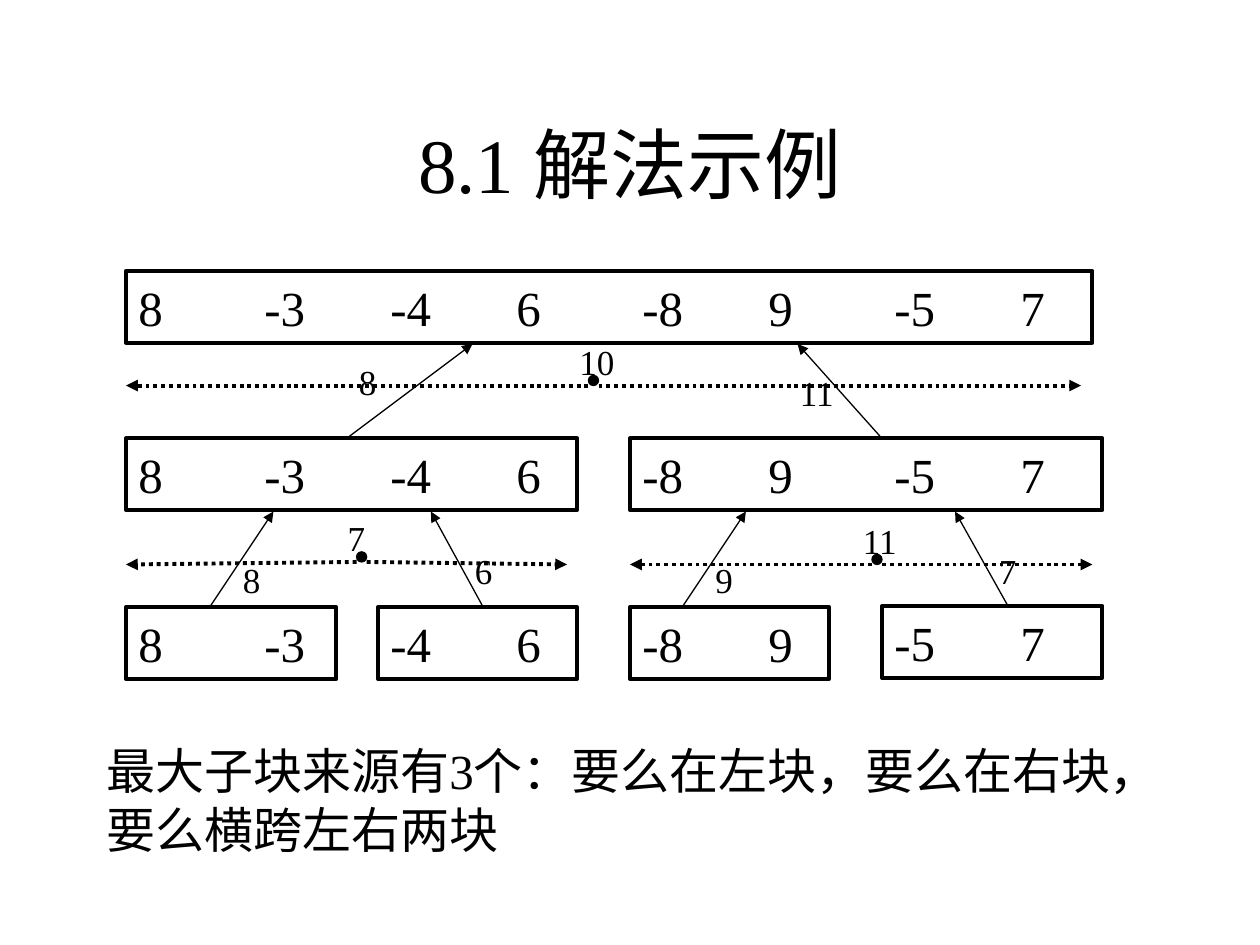
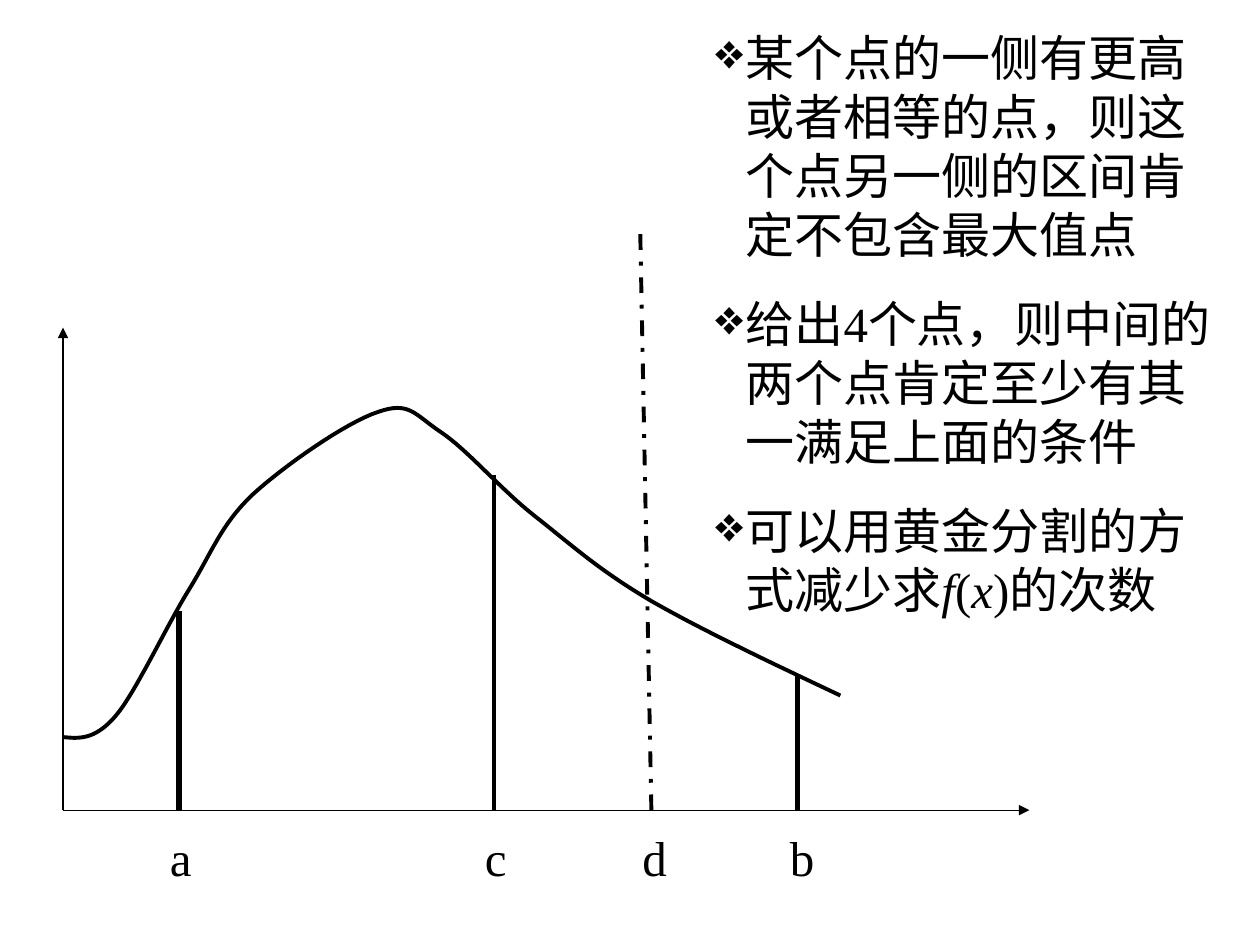
from collections import namedtuple
from dataclasses import dataclass

from lxml import etree
from pptx import Presentation
from pptx import util as u
from pptx.dml.color import RGBColor
from pptx.enum import dml, shapes, text
from pptx.oxml.ns import qn

Box = namedtuple("Box", "x y w h")


@dataclass(frozen=True)
class Theme:
    ink: RGBColor = RGBColor(0, 0, 0)
    font: str = "Times New Roman"
    title: float = 44
    body: float = 28
    note: float = 20
    gap: float = 17.5
    thin: float = 0.75
    bold: float = 2.25
    heavy: float = 3


T = Theme()
DOTS = dml.MSO_LINE.ROUND_DOT
DASH = dml.MSO_LINE.DASH_DOT

NUMS = [8, -3, -4, 6, -8, 9, -5, 7]
# first number, count, top, width
BLOCKS = [
    (0, 8, 0, 7.67),
    (0, 4, 1.33, 3.58), (4, 4, 1.33, 3.75),
    (0, 2, 2.67, 1.67), (2, 2, 2.67, 1.58),
    (4, 2, 2.67, 1.58), (6, 2, 2.66, 1.75),
]
# crossing sum, dot left, dot top, span left, span right, span end height
SPANS = [
    (10, 3.67, 0.83, 0, 7.58, 0.91),
    (7, 1.83, 2.23, 0, 3.5, 2.33),
    (11, 5.92, 2.25, 4, 7.67, 2.33),
]
# best sum, arrow foot, arrow head, label corner
RISES = [
    (8, (0.67, 2.66), (1.17, 1.91), (0.83, 2.23)),
    (9, (4.42, 2.66), (4.92, 1.91), (4.58, 2.23)),
    (6, (2.83, 2.66), (2.42, 1.91), (2.67, 2.16)),
    (7, (7, 2.66), (6.58, 1.91), (6.83, 2.16)),
    (8, (1.75, 1.33), (2.75, 0.58), (1.75, 0.66)),
    (11, (6, 1.33), (5.33, 0.58), (5.25, 0.75)),
]
# Bezier knots and handles, measured from the top of the vertical axis
CURVE = [
    (0, 3.25),
    (0.12, 3.26), (0.25, 3.28), (0.42, 3.08),
    (0.58, 2.89), (0.82, 2.37), (1, 2.08),
    (1.18, 1.79), (1.25, 1.57), (1.5, 1.33),
    (1.75, 1.1), (2.25, 0.75), (2.5, 0.67),
    (2.75, 0.58), (2.79, 0.69), (3, 0.83),
    (3.21, 0.97), (3.47, 1.28), (3.75, 1.5),
    (4.03, 1.72), (4.26, 1.93), (4.67, 2.17),
    (5.07, 2.4), (5.62, 2.66), (6.17, 2.92),
]
# name, foot, top, line width, dash, label left
MARKS = [
    ("a", 0.92, (0.92, 2.25), T.heavy, None, 0.75),
    ("b", 5.83, (5.83, 2.75), T.heavy, None, 5.67),
    ("c", 3.42, (3.42, 1.17), T.bold, None, 3.25),
    ("d", 4.67, (4.58, -0.83), T.bold, DASH, 4.5),
]
# each point is a list of runs: wording, italic
POINTS = [
    [("某个点的一侧有更高或者相等的点，则这个点另一侧的区间肯定不包含最大值点", False)],
    [("给出4个点，则中间的两个点肯定至少有其一满足上面的条件", False)],
    [("可以用黄金分割的方式减少求", False), ("f", True), ("(", False),
     ("x", True), (")的次数", False)],
]


def emu(box):
    return [u.Inches(v) for v in box]


def add_run(para, words, size, italic=False):
    run = para.add_run()
    run.text = words
    font = run.font
    font.name, font.size, font.italic = T.font, u.Pt(size), italic
    font.color.rgb = T.ink


def set_frame(frame):
    frame.word_wrap = True
    frame.auto_size = text.MSO_AUTO_SIZE.SHAPE_TO_FIT_TEXT
    frame.vertical_anchor = text.MSO_ANCHOR.TOP
    return frame


def add_tabs(para, count):
    """Set a left tab stop at every inch."""
    tabs = etree.SubElement(para._p.get_or_add_pPr(), qn("a:tabLst"))
    for n in range(1, count + 1):
        etree.SubElement(tabs, qn("a:tab"), pos=str(u.Inches(n)), algn="l")


def add_bullet(para):
    props = para._p.get_or_add_pPr()
    props.set("marL", str(u.Inches(0.24)))
    props.set("indent", str(-u.Inches(0.24)))
    tint = etree.SubElement(props, qn("a:buClr"))
    etree.SubElement(tint, qn("a:srgbClr"), val=str(T.ink))
    etree.SubElement(props, qn("a:buChar"), char="❖")


def add_label(slide, words, box, size):
    frame = set_frame(slide.shapes.add_textbox(*emu(box)).text_frame)
    add_run(frame.paragraphs[0], str(words), size)


def set_line(line, width, dash=None):
    line.color.rgb = T.ink
    line.width = u.Pt(width)
    if dash:
        line.dash_style = dash


def add_line(slide, start, end, width, dash=None, arrow=False):
    link = slide.shapes.add_connector(
        shapes.MSO_CONNECTOR.STRAIGHT, *emu((*start, *end)))
    set_line(link.line, width, dash)
    if arrow:
        etree.SubElement(link.line._get_or_add_ln(), qn("a:tailEnd"),
                         type="triangle")
    etree.SubElement(link._element.spPr, qn("a:effectLst"))


def add_form(slide, kind, box, width, filled=False):
    form = slide.shapes.add_shape(kind, *emu(box))
    form.shadow.inherit = False
    if filled:
        form.fill.solid()
        form.fill.fore_color.rgb = T.ink
    else:
        form.fill.background()
    set_line(form.line, width)
    return form


def add_title(slide, words, box):
    title = slide.shapes.title
    title.left, title.top, title.width, title.height = emu(box)
    title.text_frame.vertical_anchor = text.MSO_ANCHOR.MIDDLE
    para = title.text_frame.paragraphs[0]
    para.alignment = text.PP_ALIGN.CENTER
    add_run(para, words, T.title)


def add_block(slide, box, nums):
    form = add_form(slide, shapes.MSO_SHAPE.RECTANGLE, box, T.bold)
    para = set_frame(form.text_frame).paragraphs[0]
    para.alignment = text.PP_ALIGN.LEFT
    add_run(para, "\t".join(map(str, nums)), T.body)
    add_tabs(para, len(nums))


def add_span(slide, total, dot, left, right):
    """Mark a sum that runs across two blocks, with an arrow to each side."""
    side = 0.08
    x, y = dot
    add_form(slide, shapes.MSO_SHAPE.OVAL, Box(x, y, side, side), T.thin, True)
    add_line(slide, (x, y + side), left, T.bold, DOTS, True)
    add_line(slide, (x + side, y + side), right, T.bold, DOTS, True)
    add_label(slide, total, Box(x - 0.17, y - 0.33, 0.58, 0.44), T.note)


def add_tree(slide, box):
    def at(x, y):
        return box.x + x, box.y + y

    for first, count, top, width in BLOCKS:
        add_block(slide, Box(*at(first, top), width, 0.57),
                  NUMS[first:first + count])
    for total, x, y, left, right, end in SPANS:
        add_span(slide, total, at(x, y), at(left, end), at(right, end))
    for total, foot, head, spot in RISES:
        add_line(slide, at(*foot), at(*head), T.thin, arrow=True)
        add_label(slide, total, Box(*at(*spot), 0.58, 0.44), T.note)


def trace(knots, steps=16):
    """Yield points along a chain of cubic Bezier curves."""
    for n in range(0, len(knots) - 1, 3):
        for step in range(1, steps + 1):
            t = step / steps
            mix = ((1 - t) ** 3, 3 * t * (1 - t) ** 2, 3 * t * t * (1 - t), t ** 3)
            yield tuple(sum(m * knot[axis] for m, knot in zip(mix, knots[n:n + 4]))
                        for axis in (0, 1))


def add_curve(slide, box):
    def at(spot):
        return u.Inches(box.x + spot[0]), u.Inches(box.y + spot[1])

    pen = slide.shapes.build_freeform(*at(CURVE[0]))
    pen.add_line_segments([at(spot) for spot in trace(CURVE)], close=False)
    form = pen.convert_to_shape()
    form.shadow.inherit = False
    form.fill.background()
    set_line(form.line, T.bold)


def add_plot(slide, box):
    base = box.y + box.h
    for end in ((box.x + box.w, base), (box.x, box.y)):
        add_line(slide, (box.x, base), end, T.thin, arrow=True)
    add_curve(slide, box)
    for name, foot, (x, y), width, dash, left in MARKS:
        add_line(slide, (box.x + foot, base), (box.x + x, box.y + y), width, dash)
        add_label(slide, name, Box(box.x + left, base + 0.09, 0.67, 0.57), T.body)


def add_points(slide, box):
    frame = set_frame(slide.shapes.add_textbox(*emu(box)).text_frame)
    for n, runs in enumerate(POINTS):
        para = frame.add_paragraph() if n else frame.paragraphs[0]
        if n:
            para.space_before = u.Pt(T.gap)
        add_bullet(para)
        for words, italic in runs:
            add_run(para, words, T.body, italic)


def main():
    deck = Presentation()
    deck.slide_width, deck.slide_height = u.Inches(10), u.Inches(7.5)

    slide = deck.slides.add_slide(deck.slide_layouts.get_by_name("Title Only"))
    add_title(slide, "8.1 解法示例", Box(0.75, 0.67, 8.5, 1.25))
    add_tree(slide, Box(1, 2.15, 7.75, 3.24))
    add_label(slide, "最大子块来源有3个：要么在左块，要么在右块，要么横跨左右两块",
              Box(0.75, 5.83, 8.42, 1.04), T.body)

    slide = deck.slides.add_slide(deck.slide_layouts.get_by_name("Blank"))
    add_plot(slide, Box(0.5, 2.6, 7.67, 3.83))
    add_points(slide, Box(5.58, 0.17, 4.25, 4.79))

    deck.save("out.pptx")


if __name__ == "__main__":
    main()
